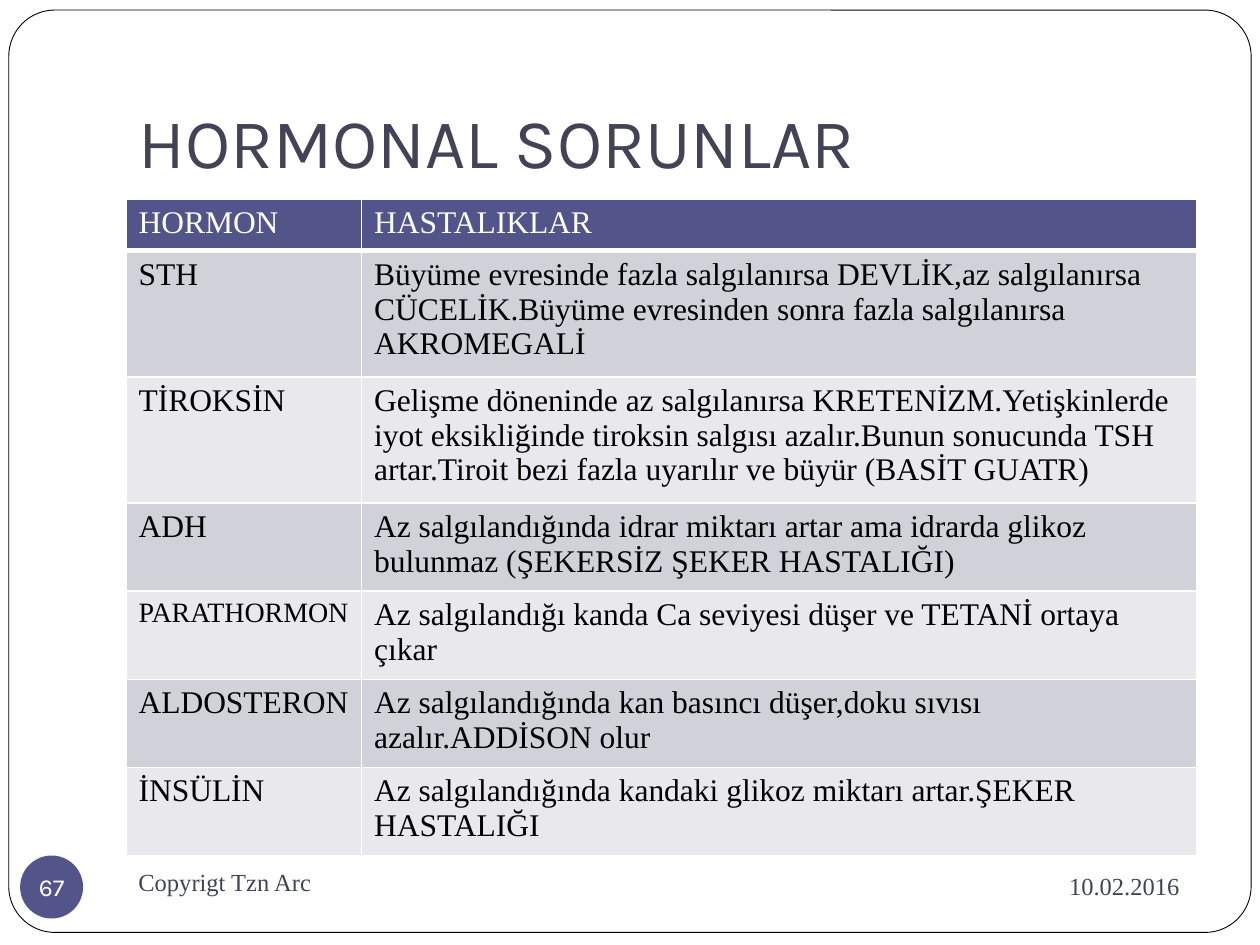
from dataclasses import dataclass

from lxml import etree
from pptx import Presentation
from pptx import util as u
from pptx.dml.color import RGBColor
from pptx.enum import shapes, text
from pptx.oxml.ns import qn

WHITE = RGBColor(0xFF, 0xFF, 0xFF)
BLACK = RGBColor(0x00, 0x00, 0x00)
SLATE = RGBColor(0x42, 0x44, 0x56)
INDIGO = RGBColor(0x53, 0x54, 0x8A)
BANDS = (RGBColor(0xD1, 0xD1, 0xDA), RGBColor(0xE9, 0xE9, 0xED))

HEADING_FONT = "Karla"
BODY_FONT = "Times New Roman"

# Page grid, in inches
LEFT = 1
CONTENT_WIDTH = 8.5
COLUMN_SHARES = (0.22, 0.78)
ROW_HEIGHT = 0.41
TABLE_TOP, TABLE_HEIGHT = 1.58, 4.02


@dataclass
class Box:
    left: float
    top: float
    width: float
    height: float

    def lengths(self) -> tuple:
        return tuple(u.Inches(v) for v in (self.left, self.top, self.width, self.height))


@dataclass
class Hormone:
    name: str
    diseases: str
    name_size: int = 18


@dataclass
class FooterText:
    wording: str
    box: Box
    alignment: text.PP_ALIGN


HEADER = Hormone("HORMON", "HASTALIKLAR")
HORMONES = [
    Hormone("STH", "Büyüme evresinde fazla salgılanırsa DEVLİK,az salgılanırsa "
            "CÜCELİK.Büyüme evresinden sonra fazla salgılanırsa AKROMEGALİ"),
    Hormone("TİROKSİN", "Gelişme döneninde az salgılanırsa KRETENİZM.Yetişkinlerde iyot "
            "eksikliğinde tiroksin salgısı azalır.Bunun sonucunda TSH artar.Tiroit bezi "
            "fazla uyarılır ve büyür (BASİT GUATR)"),
    Hormone("ADH", "Az salgılandığında idrar miktarı artar ama idrarda glikoz bulunmaz "
            "(ŞEKERSİZ ŞEKER HASTALIĞI)"),
    Hormone("PARATHORMON", "Az salgılandığı kanda Ca seviyesi düşer ve TETANİ ortaya çıkar", 16),
    Hormone("ALDOSTERON", "Az salgılandığında kan basıncı düşer,doku sıvısı azalır.ADDİSON olur"),
    Hormone("İNSÜLİN", "Az salgılandığında kandaki glikoz miktarı artar.ŞEKER HASTALIĞI"),
]
FOOTERS = [
    FooterText("10.02.2016", Box(6.75, 6.77, 2.71, 0.52), text.PP_ALIGN.RIGHT),
    FooterText("Copyrigt Tzn Arc", Box(LEFT, 6.75, 4.33, 0.5), text.PP_ALIGN.LEFT),
]


def write(frame, wording: str, size: int, color: RGBColor, font_name: str = BODY_FONT,
          alignment=text.PP_ALIGN.LEFT) -> None:
    frame.text = wording
    paragraph = frame.paragraphs[0]
    paragraph.alignment = alignment
    font = paragraph.runs[0].font
    font.size, font.name = u.Pt(size), font_name
    font.color.rgb = color


def add_plain_shape(slide, kind, box: Box, fill: RGBColor):
    shape = slide.shapes.add_shape(kind, *box.lengths())
    shape.shadow.inherit = False
    shape.fill.solid()
    shape.fill.fore_color.rgb = fill
    return shape


def add_title(slide, wording: str) -> None:
    title = slide.shapes.title
    title.left, title.top, title.width, title.height = Box(LEFT, 0.3, CONTENT_WIDTH, 1.25).lengths()
    frame = title.text_frame
    write(frame, wording, 40, SLATE, HEADING_FONT)
    frame.auto_size = text.MSO_AUTO_SIZE.NONE
    frame.vertical_anchor = text.MSO_ANCHOR.BOTTOM
    frame.margin_bottom = u.Inches(0.1)


def add_page_frame(slide) -> None:
    outline = add_plain_shape(slide, shapes.MSO_SHAPE.ROUNDED_RECTANGLE,
                              Box(0.07, 0.08, 9.86, 7.32), WHITE)
    outline.adjustments[0] = 0.05
    outline.line.color.rgb = BLACK
    outline.line.width = u.Pt(0.5)
    # Send behind the title
    slide.shapes.title._element.addprevious(outline._element)


def add_footer(slide, footer: FooterText) -> None:
    frame = slide.shapes.add_textbox(*footer.box.lengths()).text_frame
    frame.word_wrap = True
    frame.vertical_anchor = text.MSO_ANCHOR.MIDDLE
    write(frame, footer.wording, 14, SLATE, alignment=footer.alignment)


def add_page_number(slide, number: str) -> None:
    badge = add_plain_shape(slide, shapes.MSO_SHAPE.OVAL, Box(0.16, 6.79, 0.5, 0.5), INDIGO)
    badge.line.fill.background()
    frame = badge.text_frame
    frame.margin_left = frame.margin_right = frame.margin_top = frame.margin_bottom = 0
    frame.word_wrap = False
    frame.vertical_anchor = text.MSO_ANCHOR.MIDDLE
    write(frame, number, 14, WHITE, HEADING_FONT, text.PP_ALIGN.CENTER)


def set_borders(cell, bottom_width: float) -> None:
    properties = cell._tc.get_or_add_tcPr()
    widths = {"a:lnL": 1, "a:lnR": 1, "a:lnT": 1, "a:lnB": bottom_width}
    for position, (tag, width) in enumerate(widths.items()):
        line = etree.Element(qn(tag), w=str(u.Pt(width)))
        fill = etree.SubElement(line, qn("a:solidFill"))
        etree.SubElement(fill, qn("a:srgbClr"), val=str(WHITE))
        properties.insert(position, line)


def add_hormone_table(slide) -> None:
    records = [HEADER, *HORMONES]
    box = Box(LEFT, TABLE_TOP, CONTENT_WIDTH, TABLE_HEIGHT)
    graphic = slide.shapes.add_table(len(records), len(COLUMN_SHARES), *box.lengths())
    table = graphic.table
    for column, share in zip(table.columns, COLUMN_SHARES):
        column.width = u.Inches(CONTENT_WIDTH * share)
    for index, record in enumerate(records):
        is_header = index == 0
        # Rows grow from this minimum to fit their text
        table.rows[index].height = u.Inches(ROW_HEIGHT)
        contents = ((record.name, record.name_size), (record.diseases, 18))
        for cell, (wording, size) in zip(table.rows[index].cells, contents):
            write(cell.text_frame, wording, size, WHITE if is_header else BLACK)
            cell.text_frame.paragraphs[0].runs[0].font.bold = False
            cell.fill.solid()
            cell.fill.fore_color.rgb = INDIGO if is_header else BANDS[(index - 1) % 2]
            set_borders(cell, 3 if is_header else 1)
    graphic.height = u.Inches(TABLE_HEIGHT)


def main() -> None:
    presentation = Presentation()
    presentation.slide_width, presentation.slide_height = u.Inches(10), u.Inches(7.5)
    slide = presentation.slides.add_slide(presentation.slide_layouts.get_by_name("Title Only"))

    # Frame and title
    add_title(slide, "HORMONAL SORUNLAR")
    add_page_frame(slide)

    # Footer line
    for footer in FOOTERS:
        add_footer(slide, footer)
    add_page_number(slide, "67")

    # Hormones and the diseases they cause
    add_hormone_table(slide)
    presentation.save("out.pptx")


if __name__ == "__main__":
    main()
